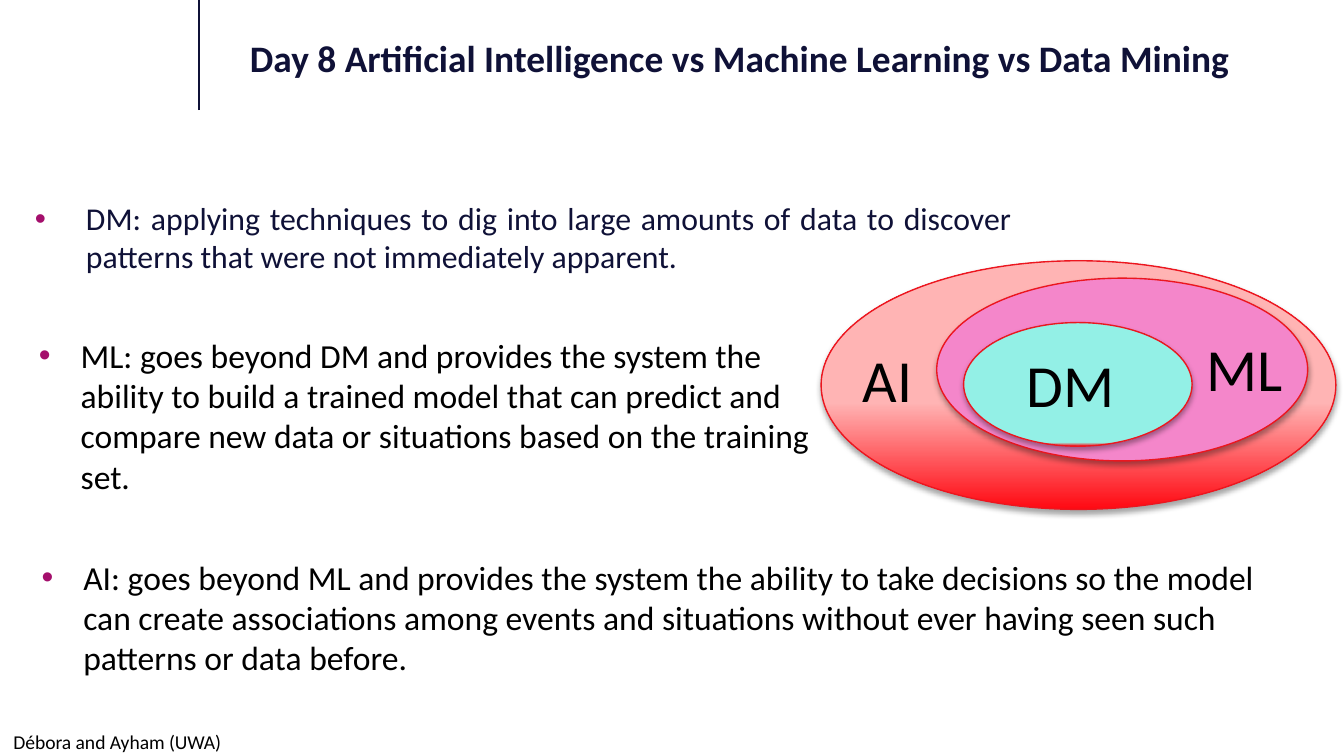
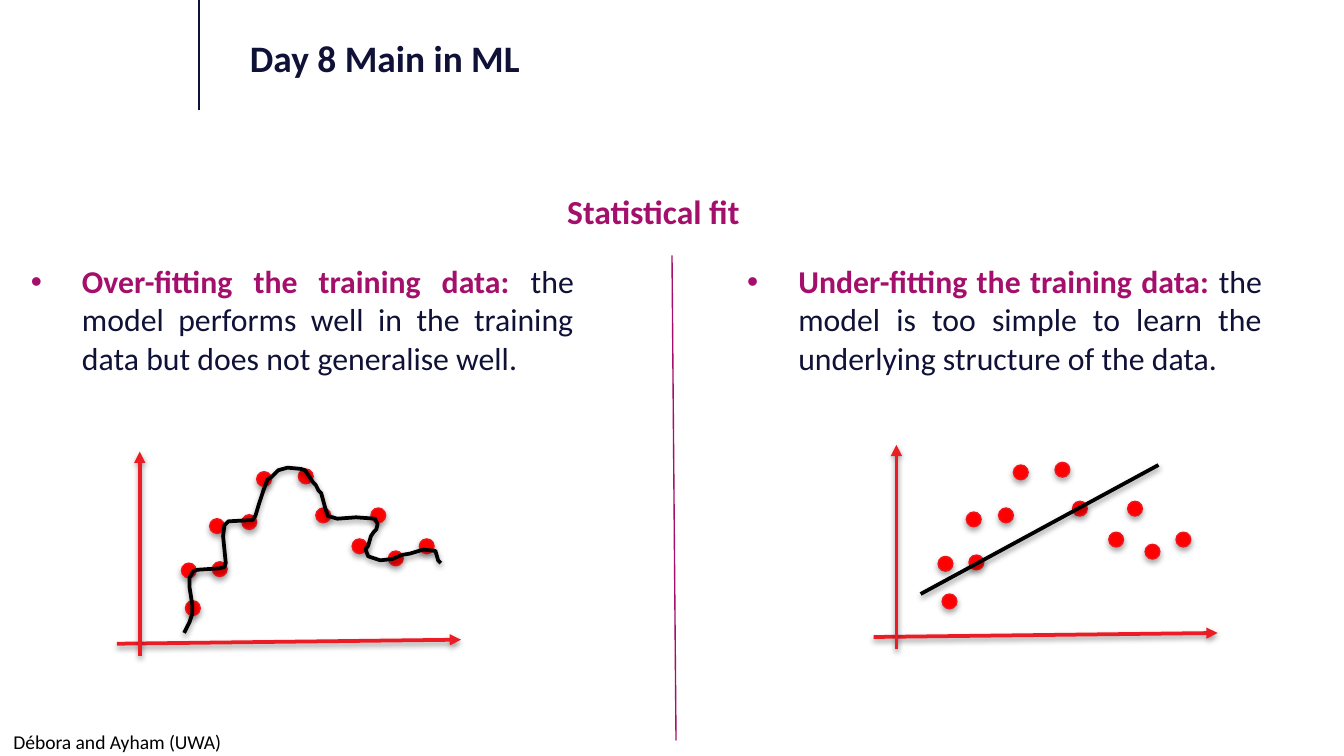
from lxml.etree import SubElement
from pptx import Presentation
from pptx.dml.color import RGBColor
from pptx.enum.shapes import MSO_CONNECTOR, MSO_SHAPE
from pptx.enum.text import MSO_ANCHOR, MSO_AUTO_SIZE, PP_ALIGN
from pptx.oxml.ns import qn
from pptx.util import Inches, Pt

NAVY = RGBColor(0x0F, 0x11, 0x37)
MAGENTA = RGBColor(0xA4, 0x0F, 0x6C)
BLACK = RGBColor(0, 0, 0)
RED = RGBColor(0xFF, 0, 0)
GRADIENT_RED = RGBColor(0xFF, 0x09, 0x12)
OUTLINE_RED = RGBColor(0xEC, 0x16, 0x1F)
AXIS_RED = RGBColor(0xEC, 0x1C, 0x24)
SALMON = RGBColor(0xFF, 0xB4, 0xB4)
PINK = RGBColor(0xF4, 0x86, 0xCA)
AQUA = RGBColor(0x93, 0xF0, 0xE6)

FONT = "Calibri"
WIDTH = 10
HEIGHT = WIDTH * 9 / 16
TITLE_BOX = (1.76, 0.21, 7.6, 0.49)
FOOTER_BOX = (0, 5.38, 7.6, 0.24)
FOOTER = "Débora and Ayham (UWA)"
FOOTER_SLOT = 1

# Definitions: placeholder, box, size, colour, indent, alignment, text
FIELDS_TITLE = "Day 8 Artificial Intelligence vs Machine Learning vs Data Mining"
DEFINITIONS = [
    (2, (0.16, 1.43, 7.47, 1.06), 17, NAVY, 0.38, PP_ALIGN.JUSTIFY,
     "DM: applying techniques to dig into large amounts of data to discover "
     "patterns that were not immediately apparent."),
    (3, (0.19, 2.44, 6.19, 1.31), 18, BLACK, 0.31, PP_ALIGN.LEFT,
     "ML: goes beyond DM and provides the system the ability to build a trained model "
     "that can predict and compare new data or situations based on the training set."),
    (4, (0.21, 4.09, 9.44, 1.01), 18, BLACK, 0.31, PP_ALIGN.LEFT,
     "AI: goes beyond ML and provides the system the ability to take decisions so the "
     "model can create associations among events and situations without ever having "
     "seen such patterns or data before."),
]
# Nested fields: ellipse, colour, where the gradient ends, label, label box
FIELDS = [
    ((6.11, 1.94, 3.83, 1.85), SALMON, 0.43, "AI", (6.32, 2.5, 0.67, 0.64)),
    ((6.97, 2.07, 2.76, 1.36), PINK, 0, "ML", (8.88, 2.42, 0.77, 0.64)),
    ((7.17, 2.4, 1.7, 0.92), AQUA, 0.03, "DM", (7.54, 2.54, 1.02, 0.64)),
]

FIT_TITLE = "Day 8 Main in ML"
FIT_HEADING = "Statistical fit"
FIT_NOTES = [
    (2, (0.13, 1.9, 4.24, 1.41), "Over-fitting the training data: ",
     "the model performs well in the training data but does not generalise well."),
    (4, (5.46, 1.9, 4.03, 1.24), "Under-fitting the training data: ",
     "the model is too simple to learn the underlying structure of the data."),
]
# Both plots share axes and dots; the right one is shifted.
AXES = [((0.87, 4.79), (3.43, 4.76)), ((1.04, 4.88), (1.04, 3.36))]
DOT = 0.11
DOTS = [(1.58, 4.18), (1.38, 4.47), (1.35, 4.19), (1.56, 3.86), (1.8, 3.83), (1.91, 3.51),
        (2.22, 3.49), (2.35, 3.78), (2.76, 3.78), (2.62, 4.01), (2.89, 4.1), (3.12, 4.01)]
RIGHT_SHIFT = (5.63, -0.05)
OVERFIT_CURVE = [
    (1.37, 4.71), (1.39, 4.67), (1.41, 4.63), (1.43, 4.57), (1.43, 4.5), (1.42, 4.43),
    (1.41, 4.37), (1.41, 4.3), (1.44, 4.25), (1.47, 4.24), (1.63, 4.23), (1.67, 4.22),
    (1.68, 4.19), (1.66, 3.99), (1.67, 3.91), (1.7, 3.88), (1.88, 3.87), (1.9, 3.84),
    (1.93, 3.74), (1.95, 3.68), (1.96, 3.65), (1.99, 3.57), (2.02, 3.55), (2.07, 3.5),
    (2.14, 3.48), (2.24, 3.49), (2.27, 3.5), (2.33, 3.59), (2.35, 3.61), (2.37, 3.65),
    (2.39, 3.67), (2.42, 3.78), (2.44, 3.84), (2.51, 3.86), (2.65, 3.85), (2.79, 3.86),
    (2.81, 3.9), (2.8, 3.94), (2.78, 3.96), (2.76, 3.99), (2.74, 4.06), (2.72, 4.09),
    (2.74, 4.14), (2.8, 4.16), (2.83, 4.17), (2.92, 4.16), (2.99, 4.13), (3.05, 4.12),
    (3.15, 4.09), (3.24, 4.1), (3.26, 4.17), (3.28, 4.19)]
UNDERFIT_LINE = ((6.85, 4.42), (8.62, 3.46))


def place(shape, box):
    shape.left, shape.top, shape.width, shape.height = map(Inches, box)


def set_line(shape, color, width):
    shape.line.color.rgb = color
    shape.line.width = Pt(width)


def set_shadow(shape, alpha=None, distance=0):
    """Replace the theme shadow; without alpha there is none. Call after set_line."""
    effects = SubElement(shape.element.spPr, qn("a:effectLst"))
    if alpha:
        outer = SubElement(effects, qn("a:outerShdw"), blurRad=str(Pt(3.1)),
                           dist=str(Pt(distance)), dir="5400000", rotWithShape="0")
        color = SubElement(outer, qn("a:srgbClr"), val="000000")
        SubElement(color, qn("a:alpha"), val=str(alpha * 1000))


def write(shape, spans, size, align=PP_ALIGN.LEFT, indent=0):
    """Fill a shape with one paragraph of (text, colour, bold) spans."""
    frame = shape.text_frame
    frame.word_wrap = True
    frame.auto_size = MSO_AUTO_SIZE.NONE
    frame.vertical_anchor = MSO_ANCHOR.TOP
    para = frame.paragraphs[0]
    para.alignment = align
    para.space_before = Pt(0)
    properties = para._p.get_or_add_pPr()
    properties.set("marL", str(Inches(indent)))
    properties.set("indent", str(-Inches(indent)))
    if indent:
        color = SubElement(properties, qn("a:buClr"))
        SubElement(color, qn("a:srgbClr"), val=str(MAGENTA))
        SubElement(properties, qn("a:buFont"), typeface="Arial")
        SubElement(properties, qn("a:buChar"), char="•")
    else:
        SubElement(properties, qn("a:buNone"))
    for text, color, bold in spans:
        span = para.add_run()
        span.text = text
        span.font.name, span.font.size = FONT, Pt(size)
        span.font.bold, span.font.color.rgb = bold, color


def add_line(shapes, start, end, color, width, arrow=False):
    line = shapes.add_connector(MSO_CONNECTOR.STRAIGHT, *map(Inches, start + end))
    set_line(line, color, width)
    if arrow:
        SubElement(line.line._get_or_add_ln(), qn("a:tailEnd"), type="triangle")
    return line


def add_ellipse(shapes, box):
    return shapes.add_shape(MSO_SHAPE.OVAL, *map(Inches, box))


def prepare_layout(deck):
    """Set the title and footer places that both slides inherit."""
    layout = deck.slide_layouts.get_by_name("Comparison")
    for holder in list(layout.placeholders):
        index = holder.placeholder_format.idx
        if index == 0:
            place(holder, TITLE_BOX)
        elif index == FOOTER_SLOT:
            place(holder, FOOTER_BOX)
        elif index >= 10:
            holder.element.getparent().remove(holder.element)
    return layout


def add_page(deck, layout, title):
    page = deck.slides.add_slide(layout)
    write(page.shapes.title, [(title, NAVY, True)], 20)
    write(page.placeholders[FOOTER_SLOT], [(FOOTER, BLACK, False)], 10.5)
    return page


def fill_slot(page, slot, box, spans, size, **style):
    place(page.placeholders[slot], box)
    write(page.placeholders[slot], spans, size, **style)


def build_fields(page):
    for slot, box, size, color, indent, align, text in DEFINITIONS:
        fill_slot(page, slot, box, [(text, color, False)], size, indent=indent, align=align)
    for box, color, stop, _, _ in FIELDS:
        ellipse = add_ellipse(page.shapes, box)
        ellipse.fill.gradient()
        ellipse.fill.gradient_angle = 90
        first, last = ellipse.fill.gradient_stops
        first.color.rgb, first.position = GRADIENT_RED, 0
        last.color.rgb, last.position = color, stop
        set_line(ellipse, OUTLINE_RED, 0.75)
        set_shadow(ellipse, 35, 1.8)
    for *_, label, box in FIELDS:
        text_box = page.shapes.add_textbox(*map(Inches, box))
        write(text_box, [(label, BLACK, False)], 32)


def add_plot(page, shift=(0, 0)):
    """Draw the axes and dots as a group and return its shapes."""
    def moved(point):
        return point[0] + shift[0], point[1] + shift[1]

    shapes = page.shapes.add_group_shape().shapes
    for start, end in AXES:
        axis = add_line(shapes, moved(start), moved(end), AXIS_RED, 2, arrow=True)
        set_shadow(axis, 38, 1.6)
    for point in DOTS:
        dot = add_ellipse(shapes, moved(point) + (DOT, DOT))
        dot.fill.solid()
        dot.fill.fore_color.rgb = RED
        set_line(dot, OUTLINE_RED, 0.75)
        set_shadow(dot, 35, 1.8)
    return shapes


def build_fit(page):
    fill_slot(page, 3, (4.12, 1.37, 2.02, 0.36), [(FIT_HEADING, MAGENTA, True)], 18)
    for slot, box, term, meaning in FIT_NOTES:
        fill_slot(page, slot, box, [(term, MAGENTA, True), (meaning, NAVY, False)], 17,
                  indent=0.38, align=PP_ALIGN.JUSTIFY)

    over = add_plot(page)
    points = [(Inches(x), Inches(y)) for x, y in OVERFIT_CURVE]
    builder = over.build_freeform(*points[0])
    builder.add_line_segments(points[1:], close=False)
    curve = builder.convert_to_shape()
    curve.fill.background()
    set_line(curve, BLACK, 2)
    set_shadow(curve, 38, 1.6)

    under = add_plot(page, RIGHT_SHIFT)
    set_shadow(add_line(under, *UNDERFIT_LINE, BLACK, 2), 38, 1.6)

    set_shadow(add_line(page.shapes, (5, 1.9), (5.03, 5.51), MAGENTA, 0.75))


def main():
    deck = Presentation()
    deck.slide_width, deck.slide_height = Inches(WIDTH), Inches(HEIGHT)
    layout = prepare_layout(deck)

    fields_page = add_page(deck, layout, FIELDS_TITLE)
    title_rule = add_line(fields_page.shapes, (1.48, 0.82), (1.48, 0), NAVY, 1.25)
    set_shadow(title_rule)
    layout.shapes.element.append(title_rule.element)  # shared by both slides
    build_fields(fields_page)

    build_fit(add_page(deck, layout, FIT_TITLE))
    deck.save("out.pptx")


if __name__ == "__main__":
    main()
